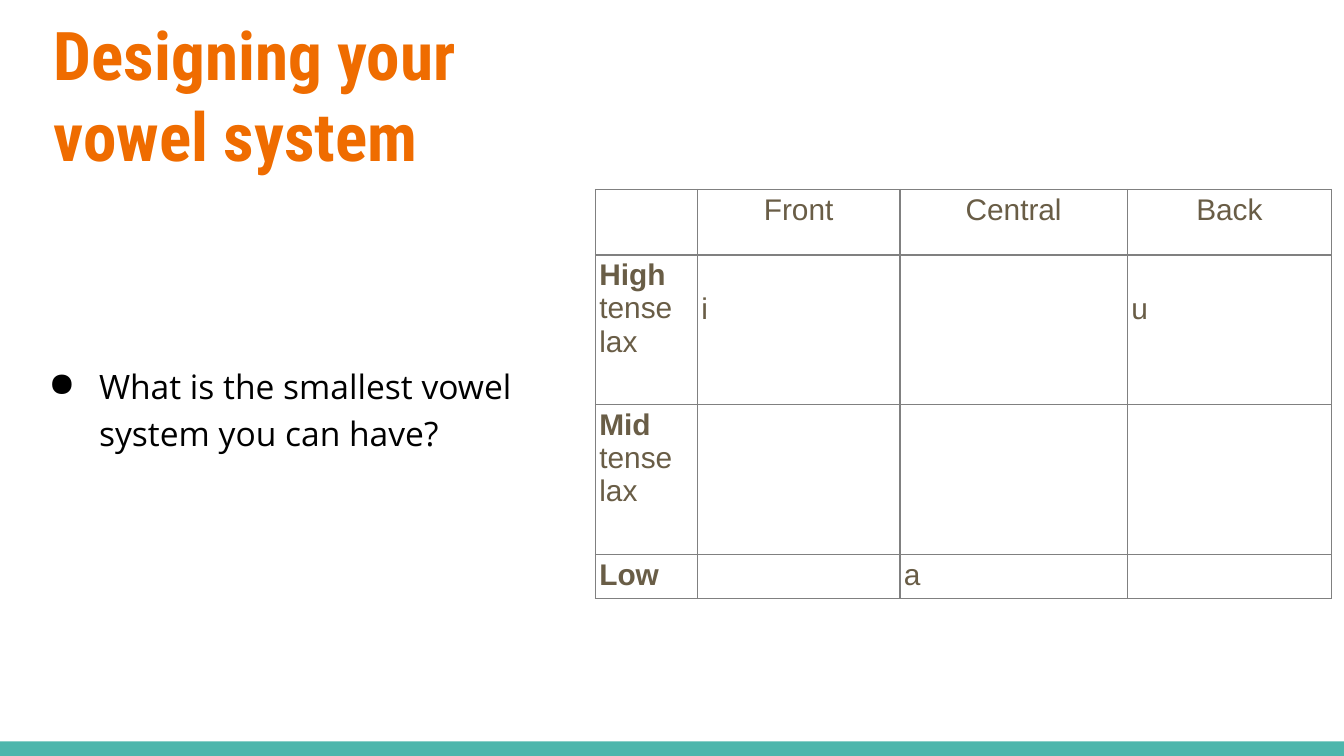
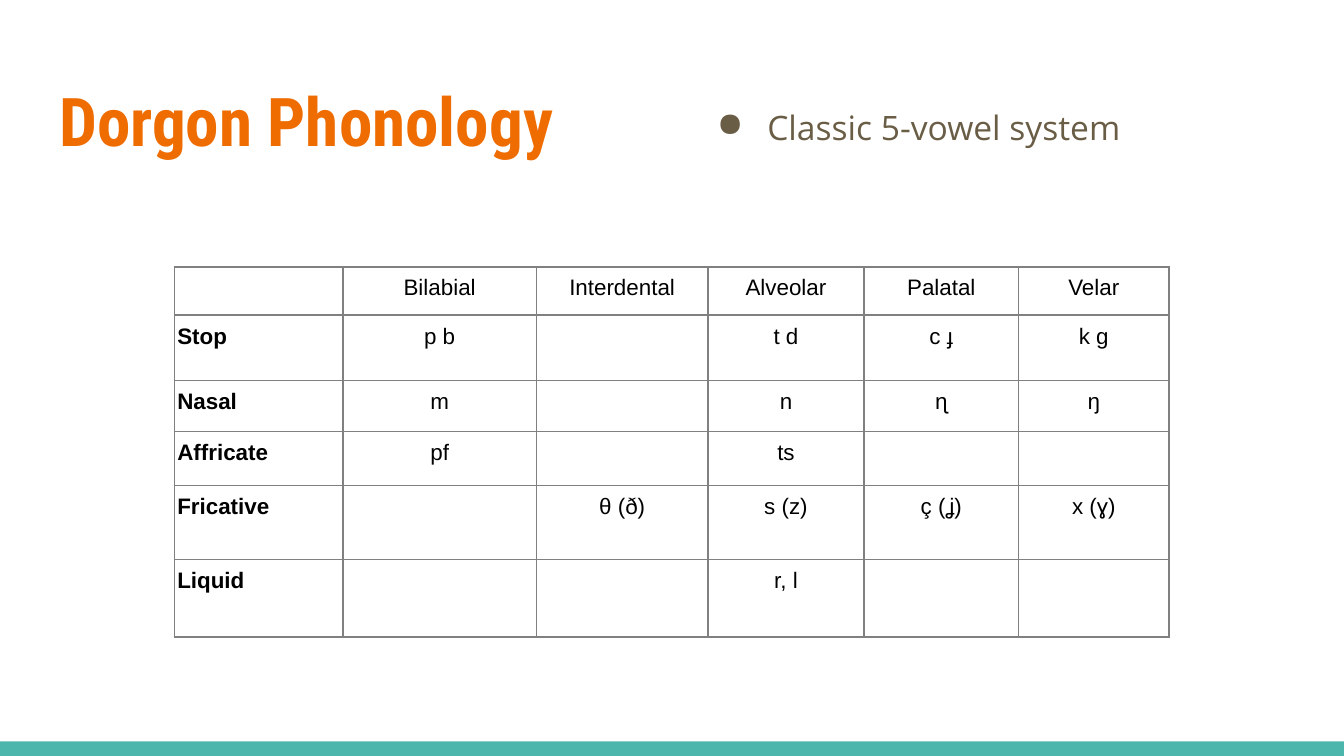
from lxml.etree import SubElement
from pptx import Presentation
from pptx.dml.color import RGBColor
from pptx.enum.shapes import MSO_SHAPE
from pptx.enum.text import MSO_ANCHOR, MSO_AUTO_SIZE, PP_ALIGN
from pptx.oxml import parse_xml
from pptx.oxml.ns import nsdecls, qn
from pptx.util import Pt

ORANGE = RGBColor(0xEF, 0x6C, 0x00)
TEAL = RGBColor(0x4D, 0xB6, 0xAC)
BROWN = RGBColor(0x69, 0x5D, 0x46)
BLACK = RGBColor(0x00, 0x00, 0x00)
WHITE = RGBColor(0xFF, 0xFF, 0xFF)
GRAY = RGBColor(0x80, 0x80, 0x80)

SLIDE_WIDTH, SLIDE_HEIGHT = 720, 405
BAND_HEIGHT = 7.8
TITLE_ONLY = 5
TITLE_FONT = {"name": "Roboto Condensed", "size": Pt(36), "bold": True}
BULLET_FONT = {"name": "Open Sans", "size": Pt(18), "bold": False}
FRAME_FORMAT = {
    "word_wrap": True,
    "auto_size": MSO_AUTO_SIZE.NONE,
    "vertical_anchor": MSO_ANCHOR.TOP,
    **dict.fromkeys(
        ("margin_left", "margin_top", "margin_right", "margin_bottom"), Pt(7.2)
    ),
}

VOWELS = [
    ["", "Front", "Central", "Back"],
    ["High\ntense\nlax", "i", "", "u"],
    ["Mid\ntense\nlax", "", "", ""],
    ["Low", "", "a", ""],
]
CONSONANTS = [
    ["", "Bilabial", "Interdental", "Alveolar", "Palatal", "Velar"],
    ["Stop", "p b", "", "t d", "c ɟ", "k g"],
    ["Nasal", "m", "", "n", "ɳ", "ŋ"],
    ["Affricate", "pf", "", "ts", "", ""],
    ["Fricative", "", "θ (ð)", "s (z)", "ç (ʝ)", "x (ɣ)"],
    ["Liquid", "", "", "r, l", "", ""],
]


def apply_format(target, values):
    for name, value in values.items():
        setattr(target, name, value)


def style_font(font, values, color):
    apply_format(font, values)
    font.color.rgb = color


def add_titled_slide(presentation, title, left, top, width, height):
    slide = presentation.slides.add_slide(presentation.slide_layouts[TITLE_ONLY])
    slide.background.fill.solid()
    slide.background.fill.fore_color.rgb = WHITE
    band = slide.shapes.add_shape(
        MSO_SHAPE.RECTANGLE, 0, Pt(SLIDE_HEIGHT - BAND_HEIGHT),
        Pt(SLIDE_WIDTH), Pt(BAND_HEIGHT),
    )
    band.shadow.inherit = False
    band.fill.solid()
    band.fill.fore_color.rgb = TEAL
    band.line.fill.background()

    shape = slide.shapes.title
    apply_format(shape, {"left": Pt(left), "top": Pt(top),
                         "width": Pt(width), "height": Pt(height)})
    apply_format(shape.text_frame, FRAME_FORMAT)
    paragraph = shape.text_frame.paragraphs[0]
    paragraph.text = title
    paragraph.alignment = PP_ALIGN.LEFT
    style_font(paragraph.runs[0].font, TITLE_FONT, ORANGE)
    return slide


def add_bullet(slide, text, left, top, width, height, color):
    box = slide.shapes.add_textbox(Pt(left), Pt(top), Pt(width), Pt(height))
    apply_format(box.text_frame, FRAME_FORMAT)
    paragraph = box.text_frame.paragraphs[0]
    paragraph.text = text
    paragraph.line_spacing = 1.15
    properties = paragraph._p.get_or_add_pPr()
    properties.set("marL", str(Pt(36)))
    properties.set("indent", str(Pt(-27)))
    bullet_color = SubElement(properties, qn("a:buClr"))
    SubElement(bullet_color, qn("a:srgbClr"), val=str(color))
    SubElement(properties, qn("a:buChar"), char="●")
    style_font(paragraph.runs[0].font, BULLET_FONT, color)


def add_borders(cell):
    properties = cell._tc.get_or_add_tcPr()
    for index, side in enumerate(("lnL", "lnR", "lnT", "lnB")):
        properties.insert(index, parse_xml(
            f'<a:{side} {nsdecls("a")} w="{Pt(0.86)}"><a:solidFill>'
            f'<a:srgbClr val="{GRAY}"/></a:solidFill></a:{side}>'
        ))


def fill_cell(cell, text, size, color, margin, alignment, spacing, is_label):
    cell.text = text
    apply_format(cell, dict.fromkeys(
        ("margin_left", "margin_top", "margin_right", "margin_bottom"), Pt(margin)
    ))
    for index, paragraph in enumerate(cell.text_frame.paragraphs):
        paragraph.alignment = alignment
        paragraph.line_spacing = spacing
        for run in paragraph.runs:
            bold = is_label and index == 0
            style_font(run.font, {"name": "Arial", "size": Pt(size), "bold": bold}, color)
        if not paragraph.runs:
            SubElement(paragraph._p, qn("a:endParaRPr"), sz=str(size * 100))


def add_sound_table(slide, rows, left, top, widths, heights, size, color,
                    margin, alignment, spacing=None, fill=None):
    frame = slide.shapes.add_table(
        len(rows), len(widths), Pt(left), Pt(top), Pt(sum(widths)), Pt(sum(heights))
    )
    table = frame.table
    apply_format(table, {"first_row": False, "horz_banding": False})
    for column, width in zip(table.columns, widths):
        column.width = Pt(width)
    for row, height in zip(table.rows, heights):
        row.height = Pt(height)
    for row_index, texts in enumerate(rows):
        for column_index, text in enumerate(texts):
            cell = table.cell(row_index, column_index)
            is_label = column_index == 0
            cell_alignment = PP_ALIGN.CENTER if row_index == 0 else alignment
            if is_label:
                cell_alignment = PP_ALIGN.LEFT
            fill_cell(cell, text, size, color, margin, cell_alignment, spacing, is_label)
            if fill is None:
                cell.fill.background()
            else:
                cell.fill.solid()
                cell.fill.fore_color.rgb = fill
            add_borders(cell)
    return table


def add_vowel_slide(presentation):
    slide = add_titled_slide(
        presentation, "Designing your vowel system", 21.6, 0, 260.6, 19.4
    )
    add_bullet(slide, "What is the smallest vowel system you can have?",
               10, 185.8, 283.7, 136.8, BLACK)
    table = add_sound_table(
        slide, VOWELS, 319, 101.5, [54.6, 108.5, 121.9, 109.3], [35.1, 80.2, 80.2, 22],
        size=16, color=BROWN, margin=2.1, alignment=PP_ALIGN.LEFT,
    )
    for column_index in (1, 3):
        table.cell(1, column_index).margin_top = Pt(20.1)


def add_consonant_slide(presentation):
    slide = add_titled_slide(presentation, "Dorgon Phonology", 24.5, 35.3, 671, 55.4)
    add_bullet(slide, "Classic 5-vowel system", 368, 46.8, 321, 234, BROWN)
    add_sound_table(
        slide, CONSONANTS, 93.4, 143, [90.3, 103.7, 91.9, 83.6, 82.8, 80.6],
        [25.8, 35.2, 27.2, 29, 39.6, 41.6], size=12, color=BLACK, margin=1.6,
        alignment=PP_ALIGN.CENTER, spacing=Pt(16.5), fill=WHITE,
    )


def main():
    presentation = Presentation()
    presentation.slide_width = Pt(SLIDE_WIDTH)
    presentation.slide_height = Pt(SLIDE_HEIGHT)
    add_vowel_slide(presentation)
    add_consonant_slide(presentation)
    presentation.save("out.pptx")


if __name__ == "__main__":
    main()
